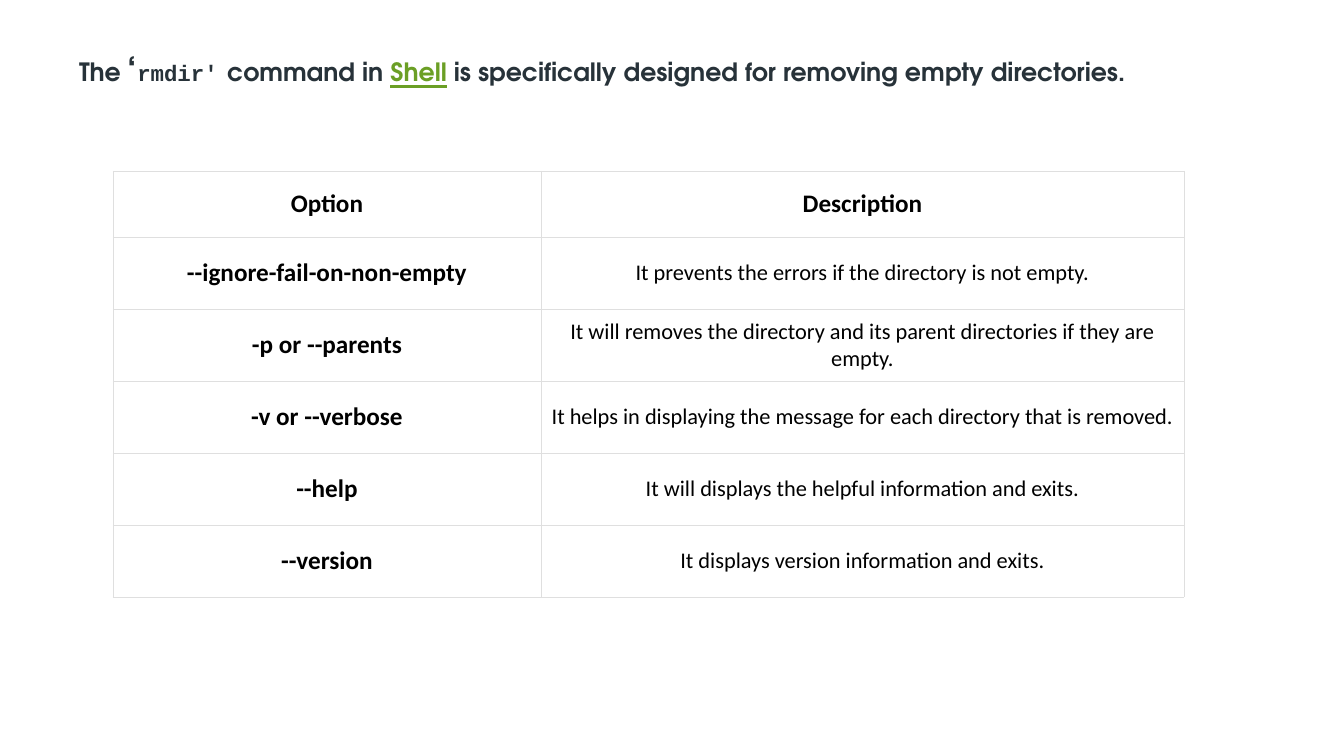
import dataclasses
import lxml.etree
import pptx
import pptx.dml.color
import pptx.enum.text
import pptx.oxml.ns
import pptx.util

SCALE = 914400 / 100.8
ALIGN = pptx.enum.text.PP_ALIGN
MIDDLE = pptx.enum.text.MSO_ANCHOR.MIDDLE


@dataclasses.dataclass(frozen=True)
class Theme:
    white: str = "FFFFFF"
    black: str = "000000"
    slate: str = "273239"
    green: str = "6B9F25"
    grid: str = "DFDFDF"
    head: str = "TeX Gyre Adventor"
    code: str = "Courier New"
    body: str = "Calibri"
    large: int = 24
    main: int = 18
    small: int = 16
    hair: float = 0.15


THEME = Theme()

TITLE = [
    ("The ", THEME.main, THEME.head, THEME.slate),
    ("‘", THEME.large, THEME.head, THEME.slate),
    ("rmdir'", THEME.small, THEME.code, THEME.slate),
    (" ", THEME.large, THEME.head, THEME.slate),
    ("command in ", THEME.main, THEME.head, THEME.slate),
    ("Shell", THEME.main, THEME.head, THEME.green),
    (" is specifically designed for removing empty directories.",
     THEME.main, THEME.head, THEME.slate),
]

OPTIONS = [
    ("Option", "Description"),
    ("--ignore-fail-on-non-empty",
     "It prevents the errors if the directory is not empty."),
    ("-p or --parents",
     "It will removes the directory and its parent directories if they are empty."),
    ("-v or --verbose",
     "It helps in displaying the message for each directory that is removed."),
    ("--help", "It will displays the helpful information and exits."),
    ("--version", "It displays version information and exits."),
]


def px(count):
    return pptx.util.Emu(round(count * SCALE))


def style(font, size, face, color, bold):
    font.size = pptx.util.Pt(size)
    font.name = face
    font.bold = bold
    font.color.rgb = pptx.dml.color.RGBColor.from_string(color)


def paint(fill, color):
    fill.solid()
    fill.fore_color.rgb = pptx.dml.color.RGBColor.from_string(color)


def border(cell):
    qn = pptx.oxml.ns.qn
    props = cell._tc.get_or_add_tcPr()
    for side in ("lnL", "lnR", "lnT", "lnB"):
        line = lxml.etree.SubElement(props, qn("a:" + side),
                                     w=str(pptx.util.Pt(THEME.hair)))
        solid = lxml.etree.SubElement(line, qn("a:solidFill"))
        lxml.etree.SubElement(solid, qn("a:srgbClr"), val=THEME.grid)


def add_title(slide, left, top, width, height):
    title = slide.shapes.title
    title.left, title.top = px(left), px(top)
    title.width, title.height = px(width), px(height)
    paint(title.fill, THEME.white)
    frame = title.text_frame
    frame.margin_left = frame.margin_right = 0
    frame.margin_top = frame.margin_bottom = 0
    frame.vertical_anchor = MIDDLE
    frame.word_wrap = True
    frame.auto_size = pptx.enum.text.MSO_AUTO_SIZE.SHAPE_TO_FIT_TEXT
    line = frame.paragraphs[0]
    line.alignment = ALIGN.JUSTIFY
    for text, size, face, color in TITLE:
        run = line.add_run()
        run.text = text
        style(run.font, size, face, color, True)
        if color == THEME.green:
            run.font.underline = True


def fill_cell(cell, text, bold, side, edge):
    cell.text = text
    cell.vertical_anchor = MIDDLE
    cell.margin_left = cell.margin_right = px(side)
    cell.margin_top = cell.margin_bottom = px(edge)
    line = cell.text_frame.paragraphs[0]
    line.alignment = ALIGN.CENTER
    size = THEME.main if bold else THEME.small
    style(line.font, size, THEME.body, THEME.black, bold)
    border(cell)
    paint(cell.fill, THEME.white)


def add_options(slide, left, top, width, height):
    table = slide.shapes.add_table(len(OPTIONS), 2, px(left), px(top),
                                   px(width), px(height)).table
    table.first_row = table.horz_banding = False
    first = 428
    table.columns[0].width = px(first)
    table.columns[1].width = px(width - first)
    header = 66
    step = (height - header) // (len(OPTIONS) - 1)
    for row, texts in enumerate(OPTIONS):
        table.rows[row].height = px(step if row else header)
        for col, text in enumerate(texts):
            bold = row == 0 or col == 0
            side = 7 if col else 4
            edge = (9 if col else 4) if row else 7
            fill_cell(table.cell(row, col), text, bold, side, edge)


def main():
    deck = pptx.Presentation()
    deck.slide_width, deck.slide_height = px(1344), px(756)
    slide = deck.slides.add_slide(deck.slide_layouts[5])
    paint(slide.background.fill, THEME.white)
    add_title(slide, 79, 48, 1332, 40)
    add_options(slide, 113, 171, 1071, 426)
    deck.save("out.pptx")


if __name__ == "__main__":
    main()
